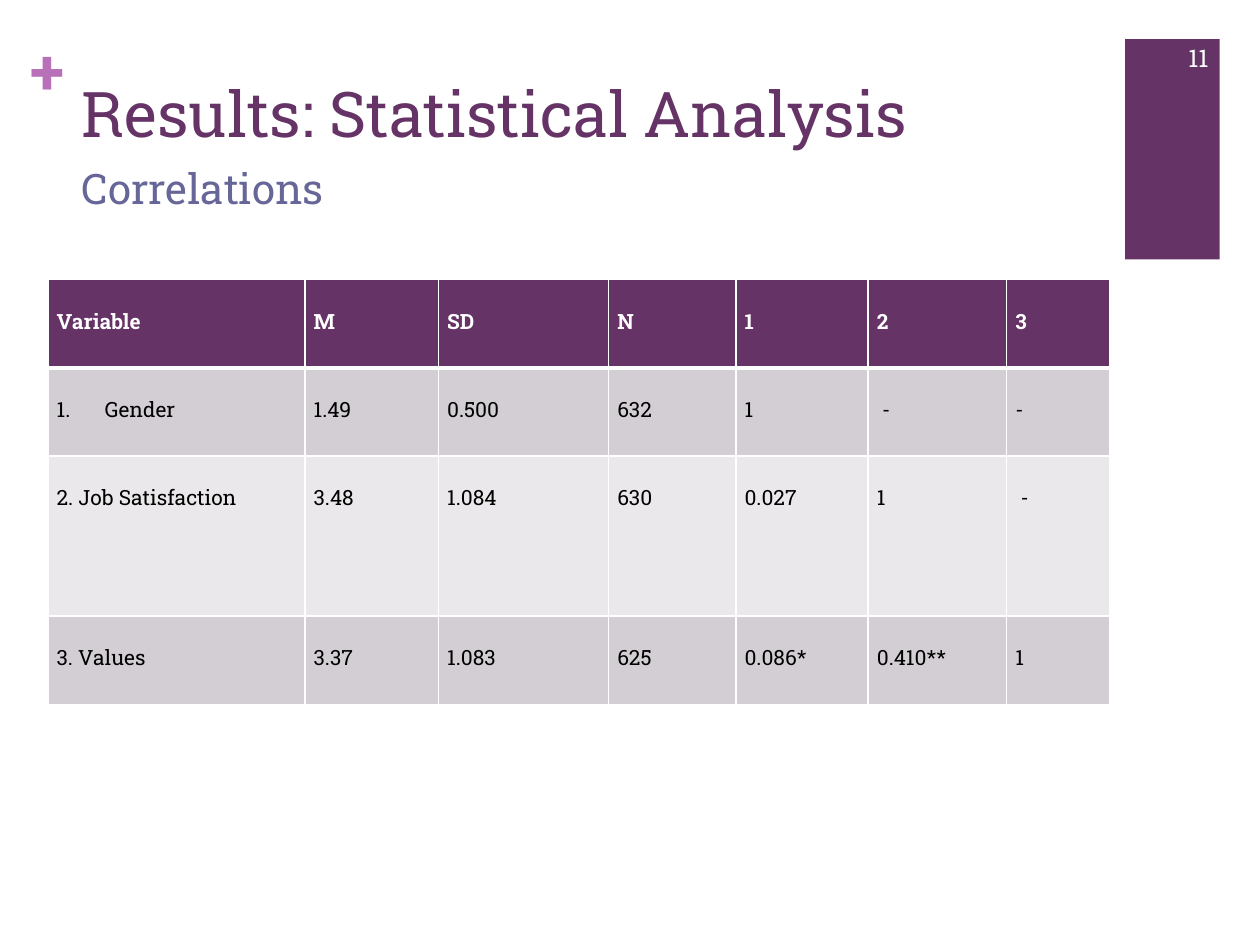
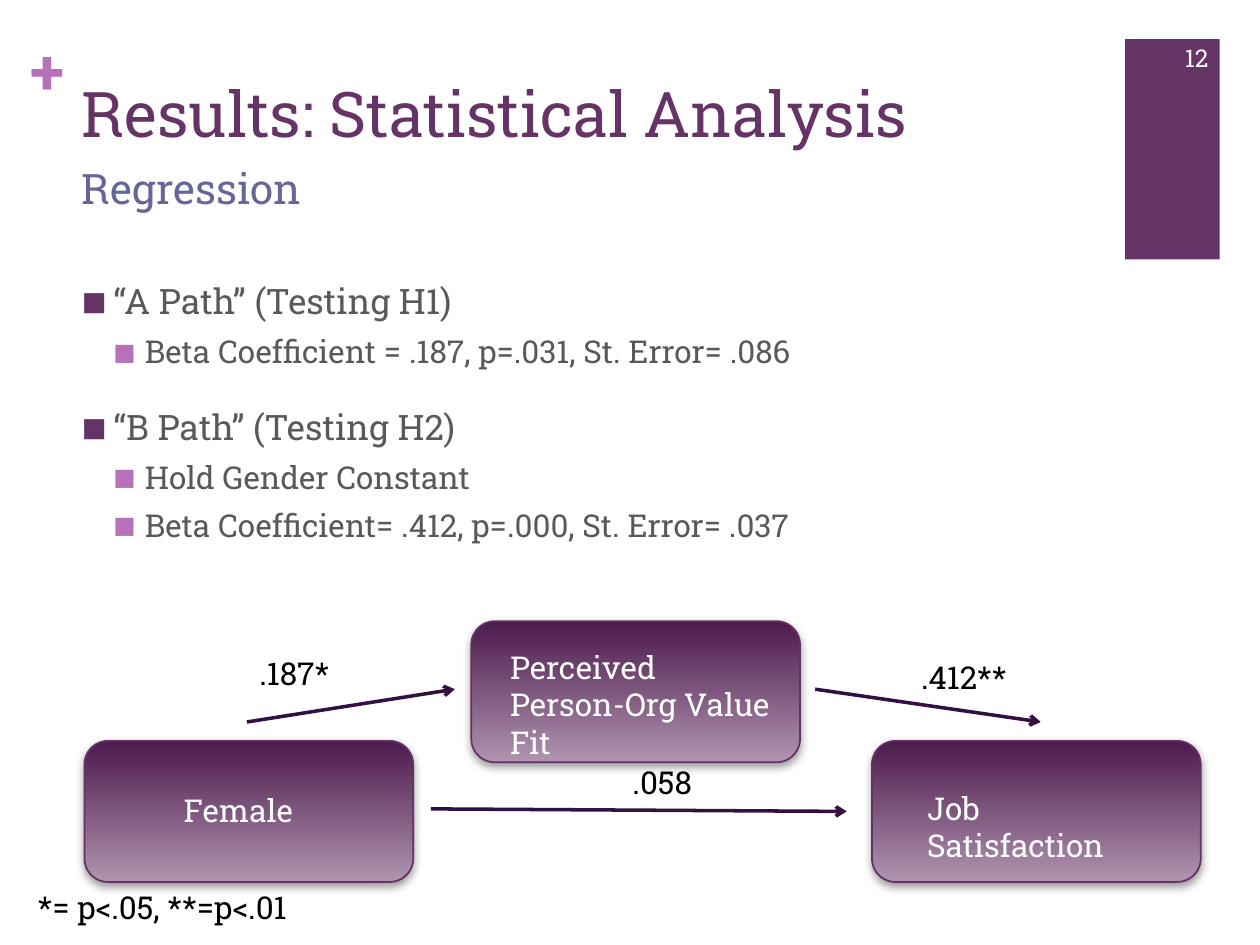
from lxml.etree import SubElement
from pptx import Presentation
from pptx.dml.color import RGBColor
from pptx.enum.shapes import MSO_CONNECTOR, MSO_SHAPE
from pptx.enum.text import MSO_ANCHOR, MSO_AUTO_SIZE, PP_ALIGN
from pptx.oxml.ns import qn
from pptx.util import Emu, Inches, Pt

RECTANGLE, ROUNDED = MSO_SHAPE.RECTANGLE, MSO_SHAPE.ROUNDED_RECTANGLE
STRAIGHT = MSO_CONNECTOR.STRAIGHT
TOP, MIDDLE, BOTTOM = MSO_ANCHOR.TOP, MSO_ANCHOR.MIDDLE, MSO_ANCHOR.BOTTOM
LEFT, RIGHT = PP_ALIGN.LEFT, PP_ALIGN.RIGHT
FIXED = MSO_AUTO_SIZE.NONE

COLUMNS, ROWS = 100, 75
TITLE_AND_BODY, TITLE_AND_TWO_BODIES = 1, 3
FONT = "Roboto Slab"
COLORS = {
    "plum": "663366", "orchid": "B870B8", "slate": "666699",
    "white": "FFFFFF", "black": "000000", "gray": "595959",
    "odd_row": "D3CED3", "even_row": "EAE8EA",
    "node_top": "4D1A4D", "node_bottom": "AF94AF", "node_edge": "653165",
    "node_shadow": "808080", "arrow": "330F42",
}
FORMATS = {
    "title": ("plum", {"size": Pt(36)}),
    "plus": ("orchid", {"size": Pt(36), "bold": True}),
    "subtitle": ("slate", {"size": Pt(24)}),
    "page": ("white", {"size": Pt(14)}),
    "header": ("white", {"size": Pt(12), "bold": True}),
    "data": ("black", {"size": Pt(12), "bold": False}),
    "topic": ("gray", {"size": Pt(20)}),
    "detail": ("gray", {"size": Pt(18)}),
    "node": ("white", {"size": Pt(18)}),
    "label": ("black", {"size": Pt(18)}),
}
BULLET_LEVELS = (("topic", "plum", 20), ("detail", "orchid", 6))


def assign(target, values):
    for name, value in values.items():
        setattr(target, name, value)


def add_xml(parent, tag, **attributes):
    return SubElement(parent, qn(tag), {k: str(v) for k, v in attributes.items()})


def add_color(parent, color):
    return add_xml(parent, "a:srgbClr", val=COLORS[color])


class Deck:
    def __init__(self):
        self.presentation = Presentation()
        assign(self.presentation, {"slide_width": Inches(10), "slide_height": Inches(7.5)})
        self.column = self.presentation.slide_width / COLUMNS
        self.row = self.presentation.slide_height / ROWS
        self.slide = None

    def point(self, x, y):
        return Emu(round(x * self.column)), Emu(round(y * self.row))

    def area(self, x, y, width, height):
        return *self.point(x, y), *self.point(width, height)

    def rgb(self, color):
        return RGBColor.from_string(COLORS[color])

    def paint(self, fill, color):
        fill.solid()
        fill.fore_color.rgb = self.rgb(color)

    def add_words(self, paragraph, text, style, align=LEFT):
        color, values = FORMATS[style]
        run = paragraph.add_run()
        run.text = text
        paragraph.alignment = align
        assign(run.font, {"name": FONT, **values})
        run.font.color.rgb = self.rgb(color)

    def start_slide(self, layout, title, subtitle, page):
        self.slide = self.presentation.slides.add_slide(
            self.presentation.slide_layouts[layout])
        band = self.shape(RECTANGLE, (89.3, 3.1, 7.5, 17.5))
        self.paint(band.fill, "plum")
        band.line.fill.background()
        self.text("+", "plus", (2.4, 2.5, 2.9, 6.1), inset=0)
        self.text(page, "page", (90.8, 2.6, 6.1, 4), MIDDLE, RIGHT)

        heading = self.placeholder(0, (5.5, 1.5, 82.6, 10.9), BOTTOM)
        self.add_words(heading.paragraphs[0], title, "title")
        last = max(p.placeholder_format.idx for p in self.slide.placeholders)
        subheading = self.placeholder(last, (5.5, 12.4, 82.7, 8.5), TOP)
        paragraph = subheading.paragraphs[0]
        self.add_words(paragraph, subtitle, "subtitle")
        paragraph.space_before = Pt(20)
        properties = self.indent(paragraph, 0, 0)
        add_xml(properties, "a:buNone")

    def placeholder(self, index, area, anchor):
        holder = next(p for p in self.slide.placeholders
                      if p.placeholder_format.idx == index)
        assign(holder, dict(zip(("left", "top", "width", "height"), self.area(*area))))
        assign(holder.text_frame, {"auto_size": FIXED, "vertical_anchor": anchor})
        return holder.text_frame

    def indent(self, paragraph, margin, hanging):
        properties = paragraph._p.get_or_add_pPr()
        properties.set("marL", str(Inches(margin)))
        properties.set("indent", str(-Inches(hanging)))
        return properties

    def shape(self, kind, area):
        shape = self.slide.shapes.add_shape(kind, *self.area(*area))
        shape.shadow.inherit = False
        return shape

    def text(self, text, style, area, anchor=TOP, align=LEFT, inset=None):
        frame = self.slide.shapes.add_textbox(*self.area(*area)).text_frame
        assign(frame, {"word_wrap": True, "vertical_anchor": anchor})
        if inset is not None:
            sides = ("margin_left", "margin_top", "margin_right", "margin_bottom")
            assign(frame, dict.fromkeys(sides, inset))
        self.add_words(frame.paragraphs[0], text, style, align)

    def bullets(self, area, items):
        frame = self.placeholder(1, area, TOP)
        for position, (level, text) in enumerate(items):
            style, color, space = BULLET_LEVELS[level]
            paragraph = frame.add_paragraph() if position else frame.paragraphs[0]
            assign(paragraph, {"level": level, "space_before": Pt(space)})
            self.add_words(paragraph, text, style)
            properties = self.indent(paragraph, 0.25 * (level + 1), 0.25)
            add_color(add_xml(properties, "a:buClr"), color)
            add_xml(properties, "a:buSzPct", val=75000)
            add_xml(properties, "a:buFont", typeface=FONT)
            add_xml(properties, "a:buChar", char="■")

    def table(self, origin, widths, heights, records):
        area = (*origin, sum(widths), sum(heights))
        table = self.slide.shapes.add_table(
            len(heights), len(widths), *self.area(*area)).table
        for column, width in zip(table.columns, widths):
            column.width = self.point(width, 0)[0]
        for row, height in zip(table.rows, heights):
            row.height = self.point(0, height)[1]
        for r, record in enumerate(records):
            for c, value in enumerate(record):
                self.cell(table.cell(r, c), value, r, numbered=(r == 1 and c == 0))

    def cell(self, cell, value, row, numbered):
        assign(cell, {"margin_left": Inches(0.07), "margin_right": Inches(0.07),
                      "margin_top": 0, "margin_bottom": 0, "vertical_anchor": TOP})
        properties = cell._tc.get_or_add_tcPr()
        borders = {"L": 1, "R": 1, "T": 3 if row == 1 else 1, "B": 3 if row == 0 else 1}
        for side, width in borders.items():
            border = add_xml(properties, f"a:ln{side}", w=Pt(width))
            add_color(add_xml(border, "a:solidFill"), "white")
        self.paint(cell.fill, "plum" if row == 0 else "odd_row" if row % 2 else "even_row")
        paragraph = cell.text_frame.paragraphs[0]
        paragraph.line_spacing = 2.0
        self.add_words(paragraph, value, "data" if row else "header")
        if numbered:
            numbering = self.indent(paragraph, 0.38, 0.38)
            add_xml(numbering, "a:buFont", typeface=FONT)
            add_xml(numbering, "a:buAutoNum", type="arabicPeriod")

    def node(self, x, y):
        node = self.shape(ROUNDED, (x, y, 26.1, 11.2))
        node.fill.gradient()
        node.fill.gradient_angle = 270
        for stop, color in zip(node.fill.gradient_stops, ("node_top", "node_bottom")):
            stop.color.rgb = self.rgb(color)
        node.line.color.rgb = self.rgb("node_edge")
        node.line.width = Pt(1)
        effects = node.element.spPr.find(qn("a:effectLst"))
        shadow = add_xml(effects, "a:outerShdw", blurRad=Pt(5), dist=Pt(2),
                         dir=90 * 60000, rotWithShape=0)
        add_xml(add_color(shadow, "node_shadow"), "a:alpha", val=75000)

    def arrow(self, start, end):
        arrow = self.slide.shapes.add_connector(
            STRAIGHT, *self.point(*start), *self.point(*end))
        arrow.line.color.rgb = self.rgb("arrow")
        arrow.line.width = Pt(2)
        properties = arrow.element.spPr
        add_xml(properties.find(qn("a:ln")), "a:tailEnd", type="arrow")
        add_xml(properties, "a:effectLst")


deck = Deck()
TITLE = "Results: Statistical Analysis"

deck.start_slide(TITLE_AND_BODY, TITLE, "Correlations", "11")
deck.table(
    (3.8, 22.2),
    (20.4, 10.6, 13.5, 10.1, 10.5, 11, 8.2),
    (7, 7, 12.7, 7),
    (
        ("Variable", "M", "SD", "N", "1", "2", "3"),
        ("Gender", "1.49", "0.500", "632", "1", "\u00a0-", "-\u00a0"),
        ("2. Job Satisfaction", "3.48", "1.084", "630", "0.027", "1", "\u00a0-"),
        ("3. Values", "3.37", "1.083", "625", "0.086*", "0.410**", "1"),
    ),
)

deck.start_slide(TITLE_AND_TWO_BODIES, TITLE, "Regression", "12")
deck.bullets((5.5, 21.7, 82.6, 45.3), (
    (0, "“A Path” (Testing H1)"),
    (1, "Beta Coefficient = .187, p=.031, St. Error= .086"),
    (0, "“B Path” (Testing H2)"),
    (1, "Hold Gender Constant"),
    (1, "Beta Coefficient= .412, p=.000, St. Error= .037"),
))
for corner in ((6.7, 58.8), (69.2, 58.8), (37.4, 49.3)):
    deck.node(*corner)
for start, end in (
    ((34.2, 64.2), (67.2, 64.4)),
    ((19.6, 57.3), (36.1, 54.7)),
    ((64.7, 54.7), (82.6, 57.3)),
):
    deck.arrow(start, end)
for wording, style, area in (
    ("Female", "node", (13.6, 62.3, 14.6, 4)),
    ("Job Satisfaction", "node", (72.6, 62.1, 20, 4)),
    ("Perceived Person-Org Value Fit", "node", (39.5, 50.9, 23, 7.1)),
    (".187*", "label", (19.6, 51.4, 13.9, 4)),
    (" .058", "label", (48.6, 60.1, 11, 4)),
    (" .412**", "label", (71.5, 51.7, 14.9, 4)),
    ("*= p<.05, **=p<.01", "label", (2, 70, 35.4, 4)),
):
    deck.text(wording, style, area)

deck.presentation.save("out.pptx")
